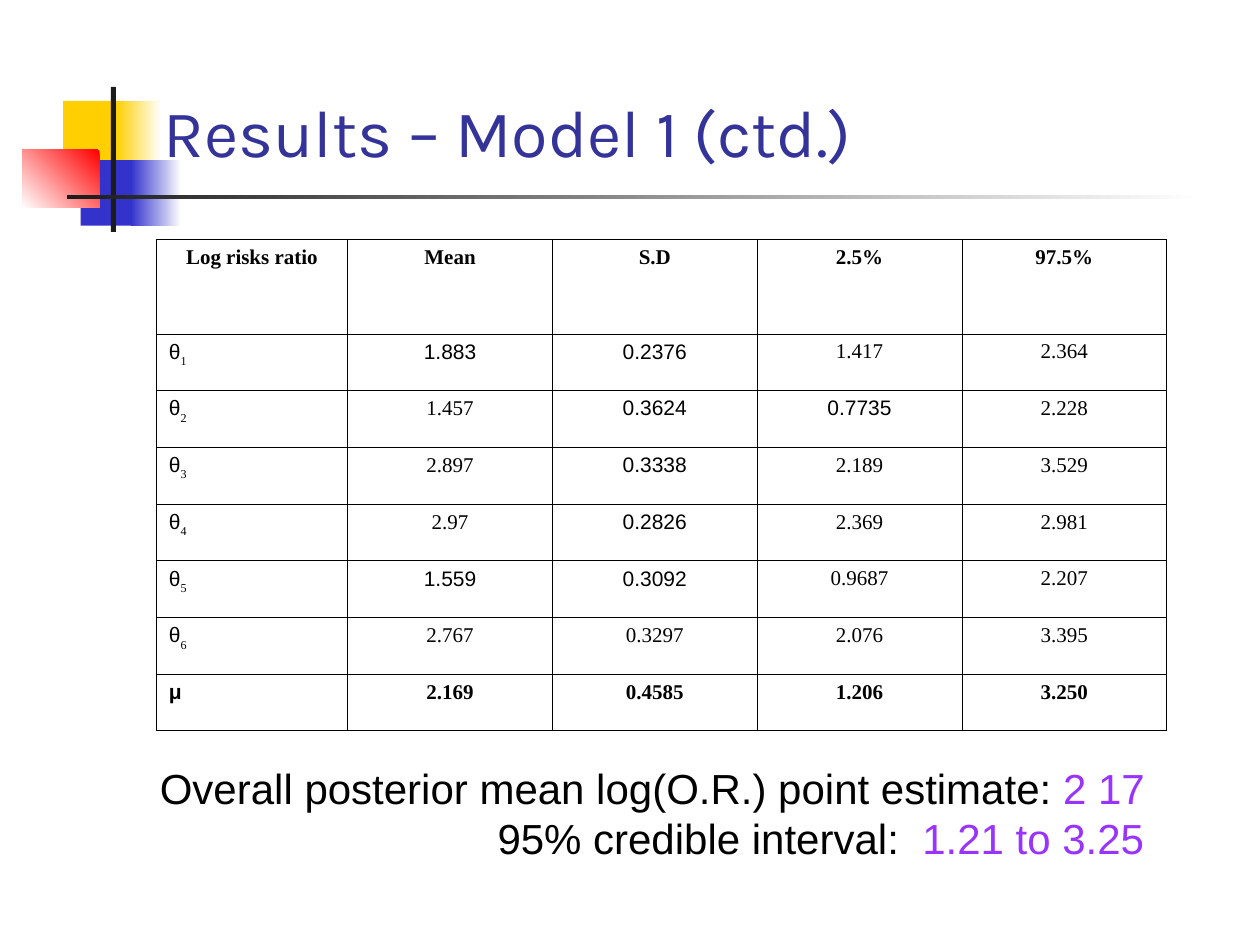
from collections import namedtuple
from dataclasses import dataclass

from lxml.etree import SubElement
from pptx import Presentation
from pptx.dml.color import RGBColor
from pptx.enum.shapes import MSO_SHAPE
from pptx.enum.text import MSO_ANCHOR, MSO_AUTO_SIZE, PP_ALIGN
from pptx.oxml.ns import qn
from pptx.util import Inches, Pt

# The slide is a grid of 1000 columns by 750 rows, 100 to the inch
COLUMNS, ROWS, PER_INCH = 1000, 750, 100
Box = namedtuple("Box", "left top width height")


@dataclass(frozen=True)
class Theme:
    title_font: str = "Karla"
    serif: str = "Times New Roman"
    sans: str = "Arial"
    title_size: float = 38
    table_size: float = 12
    summary_size: float = 24
    border_width: float = 0.45
    title: str = "333399"
    text: str = "000000"
    accent: str = "9933FF"
    paper: str = "FFFFFF"
    yellow: str = "FFCF01"
    blue: str = "3333CC"
    red: str = "FF0000"
    ink: str = "1C1C1C"


THEME = Theme()

TABLE = [
    ["Log risks ratio", "Mean", "S.D", "2.5%", "97.5%"],
    ["θ1", "1.883", "0.2376", "1.417", "2.364"],
    ["θ2", "1.457", "0.3624", "0.7735", "2.228"],
    ["θ3", "2.897", "0.3338", "2.189", "3.529"],
    ["θ4", "2.97", "0.2826", "2.369", "2.981"],
    ["θ5", "1.559", "0.3092", "0.9687", "2.207"],
    ["θ6", "2.767", "0.3297", "2.076", "3.395"],
    ["μ", "2.169", "0.4585", "1.206", "3.250"],
]
SANS_VALUES = {"1.883", "1.559", "0.7735", "0.2376", "0.3624", "0.3338", "0.2826", "0.3092"}

SUMMARY = [
    ("Overall posterior mean log(O.R.) point estimate: ", "2 17", 0),
    ("95% credible interval:  ", "1.21 to 3.25", 268),
]


def grid(units):
    return Inches(units / PER_INCH)


def place(box):
    return [grid(units) for units in box]


def style_run(run, font, size, color, bold=False):
    run.font.name = font
    run.font.size = Pt(size)
    run.font.bold = bold
    run.font.color.rgb = RGBColor.from_string(color)


def add_block(slide, box, colors, angle=180):
    """A rectangle with one flat colour, or two faded along the angle."""
    block = slide.shapes.add_shape(MSO_SHAPE.RECTANGLE, *place(box))
    block.shadow.inherit = False
    block.line.fill.background()
    if len(colors) == 1:
        block.fill.solid()
        block.fill.fore_color.rgb = RGBColor.from_string(colors[0])
        return
    block.fill.gradient()
    block.fill.gradient_angle = angle
    for stop, color in zip(block.fill.gradient_stops, colors):
        stop.color.rgb = RGBColor.from_string(color)


def add_emblem(slide, box):
    def inside(left, top, width, height):
        return Box(box.left + left, box.top + top, width, height)

    # Coloured squares, each fading to paper
    add_block(slide, inside(32, 11, 48, 52), [THEME.yellow])
    add_block(slide, inside(74, 11, 36, 52), [THEME.paper, THEME.yellow])
    add_block(slide, inside(46, 58, 46, 52), [THEME.blue])
    add_block(slide, inside(86, 58, 40, 52), [THEME.paper, THEME.blue])
    add_block(slide, inside(0, 50, 61, 46), [THEME.red, THEME.paper], angle=225)
    # Crossing bars
    add_block(slide, inside(70, 0, 4, box.height), [THEME.ink])
    add_block(slide, inside(35, 86, box.width - 35, 3), [THEME.paper, THEME.ink])


def add_title(slide, box, wording):
    title = slide.shapes.title
    title.left, title.top, title.width, title.height = place(box)
    frame = title.text_frame
    frame.text = wording
    frame.word_wrap = True
    frame.auto_size = MSO_AUTO_SIZE.NONE
    frame.vertical_anchor = MSO_ANCHOR.BOTTOM
    paragraph = frame.paragraphs[0]
    paragraph.alignment = PP_ALIGN.LEFT
    style_run(paragraph.runs[0], THEME.title_font, THEME.title_size, THEME.title)
    # Bring the heading in front of the emblem
    slide.shapes._spTree.append(title._element)


def add_borders(cell):
    properties = cell._tc.get_or_add_tcPr()
    for side in ("a:lnL", "a:lnR", "a:lnT", "a:lnB"):
        border = SubElement(properties, qn(side), w=str(Pt(THEME.border_width)))
        fill = SubElement(border, qn("a:solidFill"))
        SubElement(fill, qn("a:srgbClr"), val=THEME.text)


def fill_cell(cell, wording, is_label, bold):
    add_borders(cell)
    cell.fill.background()
    cell.margin_left = cell.margin_right = grid(10)
    cell.margin_top = cell.margin_bottom = grid(5)
    cell.vertical_anchor = MSO_ANCHOR.TOP
    paragraph = cell.text_frame.paragraphs[0]
    paragraph.alignment = PP_ALIGN.LEFT if is_label else PP_ALIGN.CENTER
    # A label is a Greek letter with an optional subscript
    symbol, subscript = (wording[0], wording[1:]) if is_label else (wording, "")
    paragraph.text = symbol
    font = THEME.sans if is_label or wording in SANS_VALUES else THEME.serif
    style_run(paragraph.runs[0], font, THEME.table_size, THEME.text, bold)
    if subscript:
        index = paragraph.add_run()
        index.text = subscript
        style_run(index, THEME.serif, THEME.table_size, THEME.text, bold)
        index.font._element.set("baseline", "-30000")


def add_results(slide, box, values, label_width=152, header_height=75):
    row_count, column_count = len(values), len(values[0])
    table = slide.shapes.add_table(row_count, column_count, *place(box)).table
    table.first_row = table.horz_banding = False
    for c, column in enumerate(table.columns):
        value_width = (box.width - label_width) / (column_count - 1)
        column.width = grid(value_width if c else label_width)
    for r, row in enumerate(table.rows):
        value_height = (box.height - header_height) / (row_count - 1)
        row.height = grid(value_height if r else header_height)
        for c, wording in enumerate(values[r]):
            fill_cell(table.cell(r, c), wording, is_label=r > 0 and c == 0,
                      bold=r in (0, row_count - 1))


def add_summary(slide, box, lines):
    frame = slide.shapes.add_textbox(*place(box)).text_frame
    frame.word_wrap = True
    for number, (caption, estimate, indent) in enumerate(lines):
        paragraph = frame.add_paragraph() if number else frame.paragraphs[0]
        paragraph._p.get_or_add_pPr().set("marL", str(grid(indent)))
        for wording, color in ((caption, THEME.text), (estimate, THEME.accent)):
            run = paragraph.add_run()
            run.text = wording
            style_run(run, THEME.sans, THEME.summary_size, color)


def main():
    presentation = Presentation()
    presentation.slide_width, presentation.slide_height = grid(COLUMNS), grid(ROWS)
    slide = presentation.slides.add_slide(presentation.slide_layouts.get_by_name("Title Only"))
    add_emblem(slide, Box(18, 69, 935, 115))
    add_title(slide, Box(120, 51, 852, 90), "Results – Model 1 (ctd.)")
    add_results(slide, Box(124, 190, 802, 390), TABLE)
    add_summary(slide, Box(117, 600, 859, 90), SUMMARY)
    presentation.save("out.pptx")


if __name__ == "__main__":
    main()
